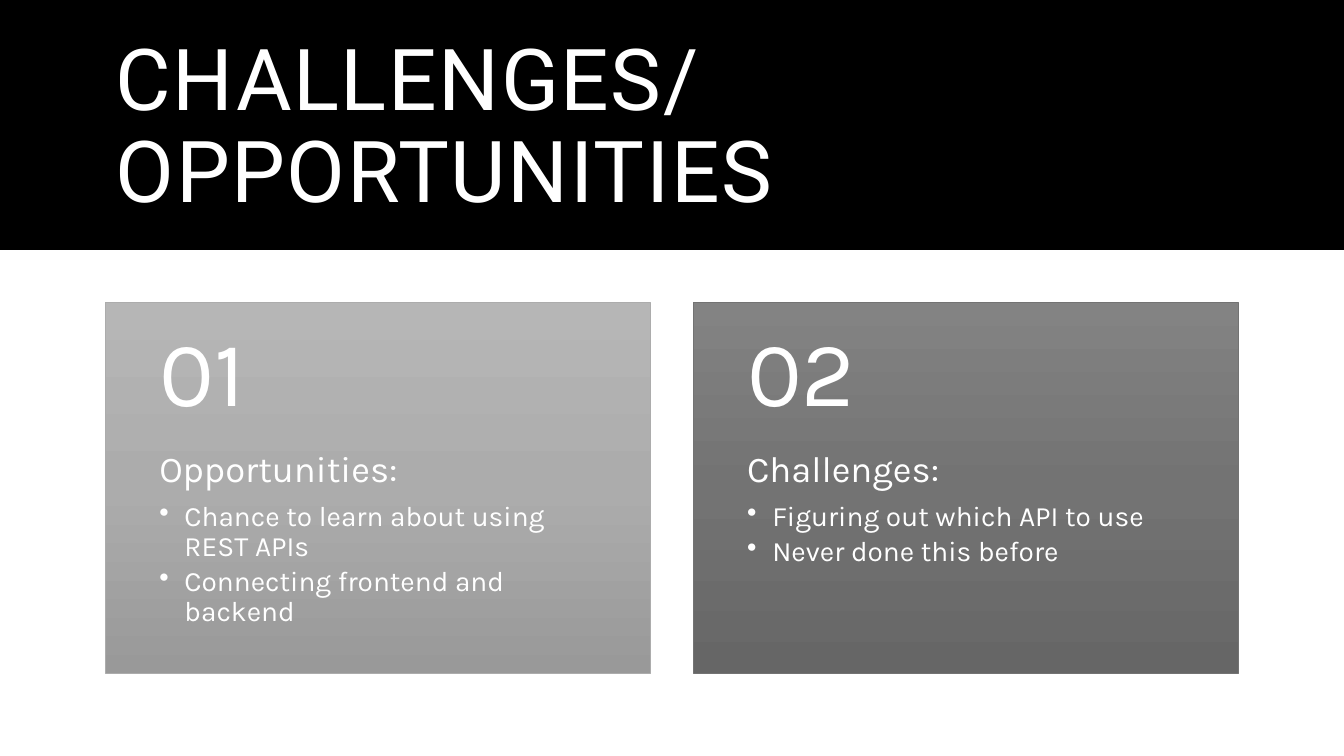
import copy

import pptx
import pptx.dml.color
import pptx.enum.shapes
import pptx.enum.text
import pptx.oxml
import pptx.oxml.ns
import pptx.util

Inches = pptx.util.Inches
Pt = pptx.util.Pt
MIDDLE = pptx.enum.text.MSO_ANCHOR.MIDDLE
TOP = pptx.enum.text.MSO_ANCHOR.TOP
qn = pptx.oxml.ns.qn


def rgb(value):
    return pptx.dml.color.RGBColor.from_string(value)


def add_text(box, lines, font, anchor, insets):
    """Add a text box; each line is (text, size, space after, bulleted)."""
    tf = slide.shapes.add_textbox(*map(Inches, box)).text_frame
    tf.word_wrap = True
    tf.vertical_anchor = anchor
    for side, inset in zip(("left", "top", "right", "bottom"), insets):
        setattr(tf, f"margin_{side}", Inches(inset))
    for i, (text, size, after, bulleted) in enumerate(lines):
        p = tf.paragraphs[0] if i == 0 else tf.add_paragraph()
        p.line_spacing = 0.9
        p.space_after = Pt(after)
        r = p.add_run()
        r.text = text
        for name, value in {"name": font, "size": Pt(size)}.items():
            setattr(r.font, name, value)
        r.font.color.rgb = rgb("FFFFFF")
        if bulleted:
            pPr = p._p.get_or_add_pPr()
            pPr.set("marL", str(Inches(0.25)))
            pPr.set("indent", str(Inches(-0.25)))
            bullet = pptx.oxml.parse_xml(
                '<a:buChar xmlns:a="http://schemas.openxmlformats.org/drawingml/2006/main" char="•"/>')
            pPr.append(bullet)
    return tf


prs = pptx.Presentation()
prs.slide_width = Inches(13.33)
prs.slide_height = Inches(7.5)
slide = prs.slides.add_slide(prs.slide_layouts[6])
RECTANGLE = pptx.enum.shapes.MSO_SHAPE.RECTANGLE

# Page and title band
for height, color in ((7.5, "FFFFFF"), (2.48, "000000")):
    s = slide.shapes.add_shape(RECTANGLE, 0, 0, prs.slide_width, Inches(height))
    s.shadow.inherit = False
    s.fill.solid()
    s.fill.fore_color.rgb = rgb(color)
    s.line.fill.background()

title = add_text((1.05, 0.35, 11.23, 1.86), [("CHALLENGES/OPPORTUNITIES", 61, 0, False)],
                 "Roboto", MIDDLE, (0.1, 0.05, 0.1, 0.05))
title.paragraphs[0].runs[0].font._element.set("spc", "120")

# Numbered cards
CARD_LEFT, CARD_TOP, CARD_WIDTH, CARD_HEIGHT = 1.05, 3, 5.4, 3.68
CARD_STEP = 5.83
NUMBER_HEIGHT = 1.47
cards = [
    ("Opportunities:",
     ["Chance to learn about using REST APIs", "Connecting frontend and backend"],
     ("B6B6B6", "ACACAC", "999999")),
    ("Challenges:",
     ["Figuring out which API to use", "Never done this before"],
     ("838383", "737373", "666666")),
]
for i, (heading, points, shades) in enumerate(cards):
    left = CARD_LEFT + i * CARD_STEP
    s = slide.shapes.add_shape(
        RECTANGLE, *map(Inches, (left, CARD_TOP, CARD_WIDTH, CARD_HEIGHT)))
    s.shadow.inherit = False
    s.fill.gradient()
    s.fill.gradient_angle = 270
    stops = s._element.spPr.find(".//" + qn("a:gsLst"))
    stops.insert(1, copy.deepcopy(stops[0]))
    for stop, position, shade in zip(s.fill.gradient_stops, (0, 0.5, 1), shades):
        stop.position = position
        stop.color.rgb = rgb(shade)
    s.line.color.rgb = rgb(shades[1])
    s.line.width = Pt(0.5)

    add_text((left, CARD_TOP + NUMBER_HEIGHT, CARD_WIDTH, CARD_HEIGHT - NUMBER_HEIGHT),
             [(heading, 26, 9, False)] + [(point, 20, 3, True) for point in points],
             "Karla", TOP, (0.53, 0, 0.53, 0.36))
    add_text((left, CARD_TOP, CARD_WIDTH, NUMBER_HEIGHT), [(f"{i + 1:02}", 66, 0, False)],
             "Karla", MIDDLE, (0.53, 0.18, 0.53, 0.18))

prs.save("out.pptx")
